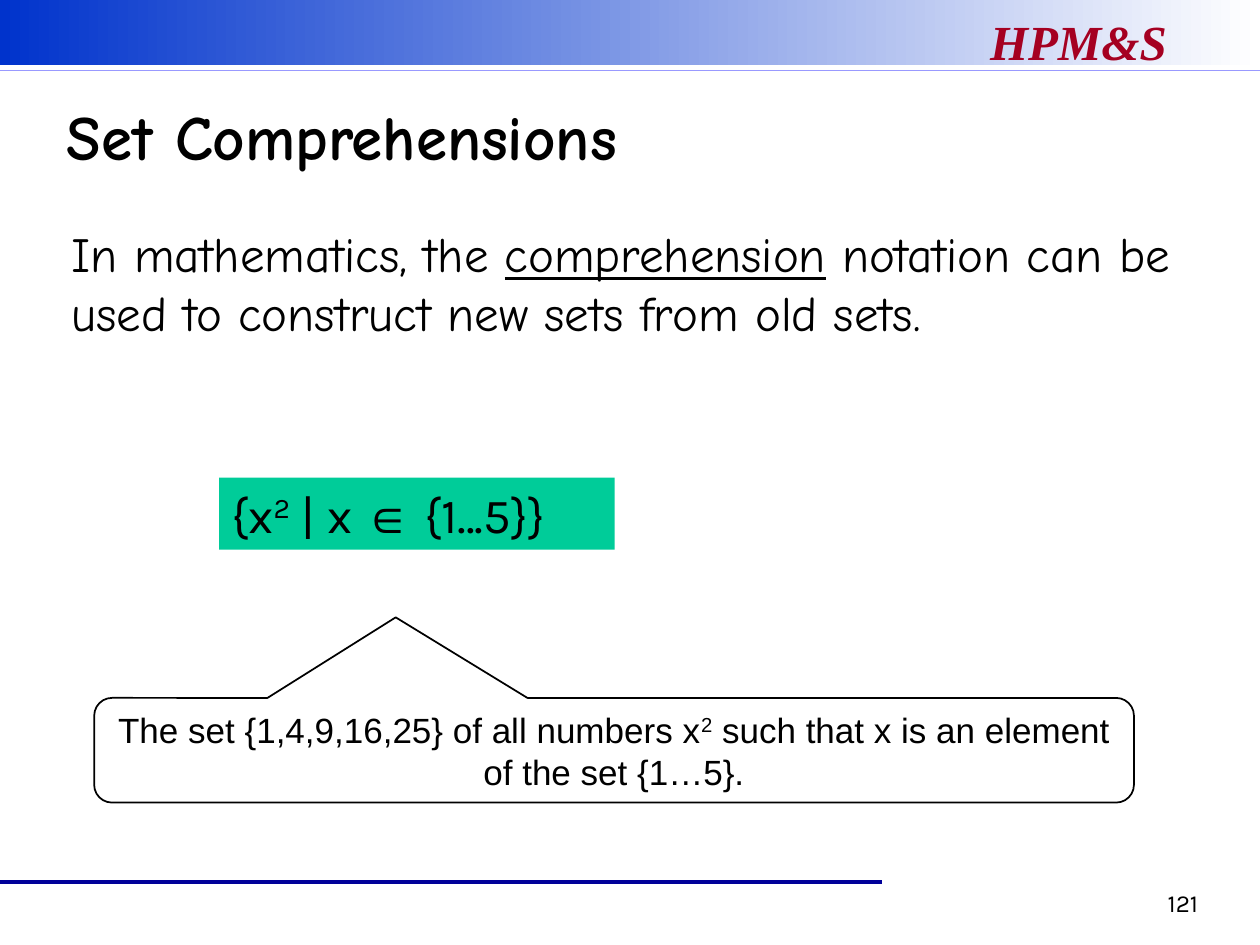
from dataclasses import dataclass
from lxml.etree import SubElement
from pptx import Presentation
from pptx.dml.color import RGBColor
from pptx.enum.shapes import MSO_CONNECTOR, MSO_SHAPE
from pptx.enum.text import MSO_ANCHOR, MSO_AUTO_SIZE, PP_ALIGN
from pptx.oxml.ns import qn
from pptx.util import Cm, Pt


@dataclass(frozen=True)
class Theme:
    black: str = "000000"
    white: str = "FFFFFF"
    blue: str = "0033CC"
    pale: str = "9999FF"
    navy: str = "000099"
    red: str = "A50021"
    green: str = "00CC99"
    head: int = 36
    text: int = 28
    note: int = 20
    small: int = 14
    hand: str = "Comic Neue"
    sans: str = "Karla"
    plain: str = "Arial"
    serif: str = "Times New Roman"


@dataclass(frozen=True)
class Box:
    left: float
    top: float
    width: float
    height: float

    def inner(self, left, top, width, height):
        return Box(self.left + left, self.top + top, width, height)

    def place(self):
        return [Cm(n) for n in (self.left, self.top, self.width, self.height)]


theme = Theme()


def tint(name):
    return RGBColor.from_string(name)


def move(shape, box):
    shape.left, shape.top, shape.width, shape.height = box.place()


def write(shape, runs, face, size, align=PP_ALIGN.LEFT,
          anchor=MSO_ANCHOR.MIDDLE, color=theme.black):
    frame = shape.text_frame
    frame.word_wrap = True
    frame.auto_size = MSO_AUTO_SIZE.NONE
    frame.vertical_anchor = anchor
    para = frame.paragraphs[0]
    para.alignment = align
    para.space_before = Pt(0)
    para.font.name = face
    para.font.size = Pt(size)
    para.font.color.rgb = tint(color)
    for text in runs:
        para.add_run().text = text
    return para


def lift(run):
    run.font._element.set("baseline", "30000")


def rule(slide, box, color, width):
    left, top, span, _ = box.place()
    line = slide.shapes.add_connector(
        MSO_CONNECTOR.STRAIGHT, left, top, left + span, top)
    line.line.color.rgb = tint(color)
    line.line.width = Pt(width)
    SubElement(line._element.spPr, qn("a:effectLst"))


def add_shape(slide, kind, box):
    shape = slide.shapes.add_shape(kind, *box.place())
    shape.shadow.inherit = False
    return shape


def banner(slide, box):
    band = add_shape(slide, MSO_SHAPE.RECTANGLE,
                     box.inner(0, 0, box.width, 1.32))
    band.line.fill.background()
    band.fill.gradient()
    band.fill.gradient_angle = 180
    for stop, color in zip(band.fill.gradient_stops, (theme.white, theme.blue)):
        stop.color.rgb = tint(color)
    label = slide.shapes.add_textbox(*box.inner(19.71, 0.1, 5.6, 1.35).place())
    para = write(label, ["HPM&S"], theme.serif, theme.text,
                 anchor=MSO_ANCHOR.TOP, color=theme.red)
    para.font.bold = para.font.italic = True
    rule(slide, box.inner(0, box.height, box.width, 0), theme.pale, 1)


def footer(slide, box):
    rule(slide, box.inner(0, 0, 17.78, 0), theme.navy, 2.25)
    page = slide.shapes.add_textbox(*box.inner(23.29, 0, 1.7, 0.84).place())
    write(page, ["121"], theme.sans, theme.small, anchor=MSO_ANCHOR.TOP)


def heading(slide, box):
    title = slide.shapes.title
    move(title, box)
    para = write(title, ["Set Comprehensions"], theme.hand, theme.head)
    para.font.bold = True


def intro(slide, box):
    body = slide.placeholders[1]
    move(body, box)
    props = body.text_frame.paragraphs[0]._p.get_or_add_pPr()
    props.set("marL", "0")
    props.set("indent", "0")
    SubElement(props, qn("a:buNone"))
    para = write(body, [
        "In mathematics, the ", "comprehension",
        " notation can be used to construct new sets from old sets."],
        theme.hand, theme.text)
    para.runs[1].font.underline = True


def sample(slide, box):
    panel = add_shape(slide, MSO_SHAPE.RECTANGLE, box)
    panel.fill.solid()
    panel.fill.fore_color.rgb = tint(theme.green)
    panel.line.fill.background()
    para = write(panel, ["{x", "2", " | x ", "∈", " {1...5}}"],
                 theme.sans, theme.text)
    lift(para.runs[1])
    para.runs[3].font.name = theme.plain


def callout(slide, box):
    bubble = add_shape(slide, MSO_SHAPE.ROUNDED_RECTANGULAR_CALLOUT, box)
    for spot, value in enumerate((-0.21, -1.27, 0.17)):
        bubble.adjustments[spot] = value
    bubble.fill.background()
    bubble.line.color.rgb = tint(theme.black)
    bubble.line.width = Pt(1)
    para = write(bubble, [
        "The set {1,4,9,16,25} of all numbers x", "2",
        " such that x is an element of the set {1…5}."],
        theme.plain, theme.note, PP_ALIGN.CENTER)
    lift(para.runs[1])


def main():
    deck = Presentation()
    deck.slide_width, deck.slide_height = Cm(25.4), Cm(19.05)
    slide = deck.slides.add_slide(deck.slide_layouts[1])
    banner(slide, Box(0, 0, 25.4, 1.42))
    footer(slide, Box(0, 17.78, 25.4, 1.27))
    heading(slide, Box(1.09, 1.73, 22.6, 2))
    intro(slide, Box(1.19, 4.37, 22.73, 2.64))
    sample(slide, Box(4.42, 9.63, 7.97, 1.45))
    callout(slide, Box(1.9, 14.07, 20.96, 2.11))
    deck.save("out.pptx")


if __name__ == "__main__":
    main()
